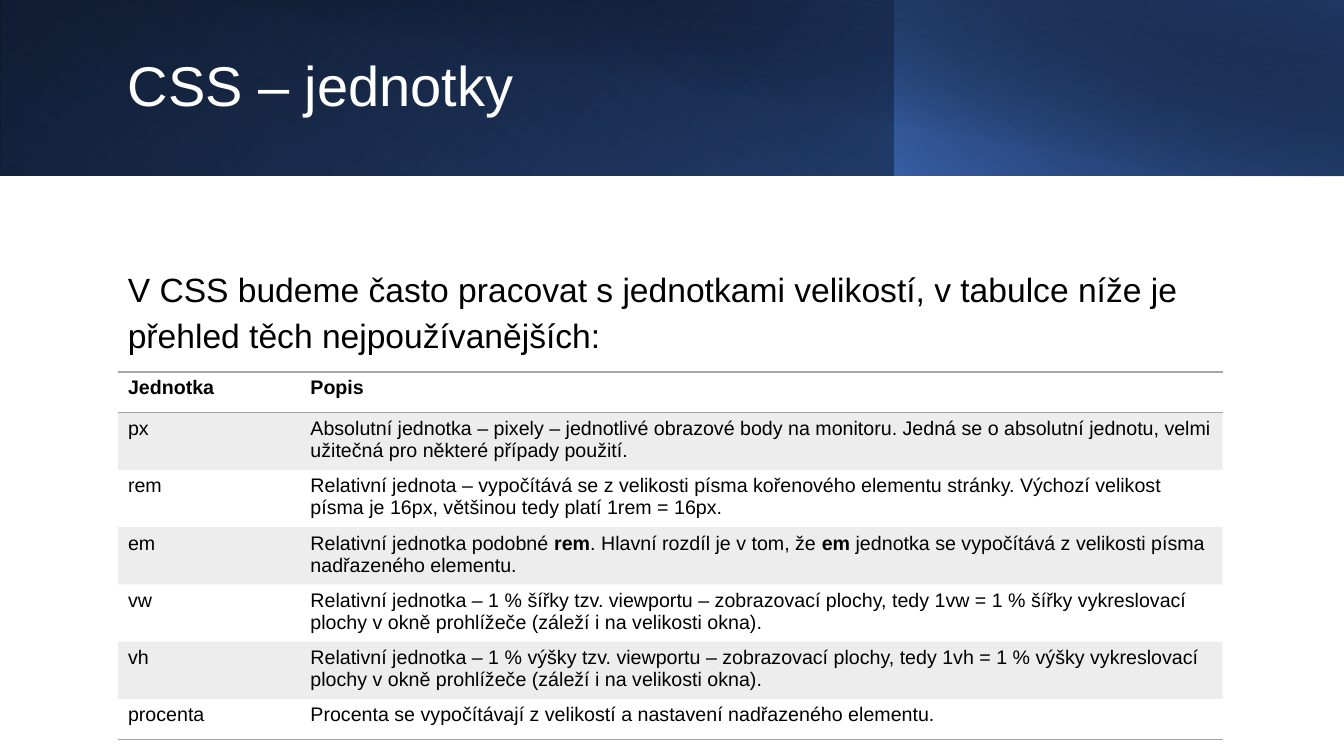
from pptx import Presentation
from pptx.enum.shapes import MSO_SHAPE
from pptx.enum.text import MSO_ANCHOR
from pptx.dml.color import RGBColor
from pptx.oxml import parse_xml
from pptx.oxml.ns import nsdecls, qn
from pptx.util import Pt

COLORS = {
    "black": "000000", "white": "FFFFFF", "gray": "A5A5A5",
    "blue": "4472C4", "deep": "2F5496", "navy": "1F3864",
}
FONT = "Arial"
TITLE = "CSS – jednotky"
INTRO = ("V CSS budeme často pracovat s jednotkami velikostí, "
         "v tabulce níže je přehled těch nejpoužívanějších:")
UNITS = [
    ("Jednotka", ["Popis"]),
    ("px", ["Absolutní jednotka – pixely – jednotlivé obrazové body na monitoru. "
            "Jedná se o absolutní jednotu, velmi užitečná pro některé případy použití."]),
    ("rem", ["Relativní jednota – vypočítává se z velikosti písma kořenového elementu stránky. "
             "Výchozí velikost písma je 16px, většinou tedy platí 1rem = 16px."]),
    ("em", ["Relativní jednotka podobné ", "rem", ". Hlavní rozdíl je v tom, že ", "em",
            " jednotka se vypočítává z velikosti písma nadřazeného elementu."]),
    ("vw", ["Relativní jednotka – 1 % šířky tzv. viewportu – zobrazovací plochy, tedy 1vw = 1 % "
            "šířky vykreslovací plochy v okně prohlížeče (záleží i na velikosti okna)."]),
    ("vh", ["Relativní jednotka – 1 % výšky tzv. viewportu – zobrazovací plochy, tedy 1vh = 1 % "
            "výšky vykreslovací plochy v okně prohlížeče (záleží i na velikosti okna)."]),
    ("procenta", ["Procenta se vypočítávají z velikostí a nastavení nadřazeného elementu."]),
]
BANNER = [
    ((0, 960, 125.28), 0, True, 140, [(0, "black", 100), (100, "deep", 100)]),
    ((0, 639.36, 125.28), 180, True, 230,
     [(0, "blue", 0), (20, "blue", 0), (100, "navy", 54)]),
    ((638.64, 321.36, 125.28), 0, True, 220, [(0, "blue", 65), (100, "black", 29)]),
    ((36, 924, 126), 0, False, 280,
     [(0, "black", 0), (50, "black", 0), (99, "navy", 51), (100, "navy", 51)]),
]
LEFT, WIDTH = 84.24, 789.12
TABLE_TOP, ROW_HEIGHT = 265.68, 29.2
COLUMN_WIDTHS = (130.32, 658.8)
NO_GRID_STYLE = "{2D5ABB26-0587-4C30-8999-92F81FD0307C}"


def color_xml(name, alpha):
    return f'<a:srgbClr val="{COLORS[name]}"><a:alpha val="{alpha * 1000}"/></a:srgbClr>'


def set_font(para, size, color, bold=False):
    para.font.name = FONT
    para.font.size = Pt(size)
    para.font.bold = bold
    para.font.color.rgb = RGBColor.from_string(COLORS[color])


def add_panel(page, place, rotation, flipped, angle, stops):
    left, width, height = place
    panel = page.shapes.add_shape(MSO_SHAPE.RECTANGLE, Pt(left), 0, Pt(width), Pt(height))
    panel.shadow.inherit = False
    panel.line.fill.background()
    panel.rotation = rotation
    properties = panel.element.spPr
    if flipped:
        properties.find(qn("a:xfrm")).set("flipH", "1")
    stop_xml = "".join(f'<a:gs pos="{position * 1000}">{color_xml(name, alpha)}</a:gs>'
                       for position, name, alpha in stops)
    gradient = parse_xml(
        f'<a:gradFill {nsdecls("a")} rotWithShape="1"><a:gsLst>{stop_xml}</a:gsLst>'
        f'<a:lin ang="{angle * 60000}" scaled="0"/></a:gradFill>')
    properties.find(qn("a:prstGeom")).addnext(gradient)


def add_text(page, text, top, width, height, size, color, spacing):
    box = page.shapes.add_textbox(Pt(LEFT), Pt(top), Pt(width), Pt(height))
    frame = box.text_frame
    frame.word_wrap = True
    frame.vertical_anchor = MSO_ANCHOR.MIDDLE
    para = frame.paragraphs[0]
    para.text = text
    para.line_spacing = spacing
    set_font(para, size, color)


def style_cell(cell, edges, shaded):
    properties = cell._tc.get_or_add_tcPr()
    for edge in edges:
        properties.append(parse_xml(
            f'<a:{edge} {nsdecls("a")} w="12700"><a:solidFill>{color_xml("gray", 100)}'
            f'</a:solidFill></a:{edge}>'))
    if shaded:
        properties.append(parse_xml(
            f'<a:solidFill {nsdecls("a")}>{color_xml("gray", 20)}</a:solidFill>'))
    else:
        cell.fill.background()


def add_units_table(page):
    frame = page.shapes.add_table(len(UNITS), len(COLUMN_WIDTHS), Pt(LEFT), Pt(TABLE_TOP),
                                  Pt(WIDTH), Pt(ROW_HEIGHT * len(UNITS)))
    table = frame.table
    table.horz_banding = False
    table._tbl.tblPr.find(qn("a:tableStyleId")).text = NO_GRID_STYLE
    for column, width in zip(table.columns, COLUMN_WIDTHS):
        column.width = Pt(width)
    edges_by_row = {0: ("lnT", "lnB"), len(UNITS) - 1: ("lnB",)}
    for row, (unit, description) in enumerate(UNITS):
        table.rows[row].height = Pt(ROW_HEIGHT)
        for column, parts in enumerate(([unit], description)):
            cell = table.cell(row, column)
            style_cell(cell, edges_by_row.get(row, ()), row % 2 == 1)
            para = cell.text_frame.paragraphs[0]
            set_font(para, 14, "black", row == 0)
            for index, part in enumerate(parts):
                span = para.add_run()
                span.text = part
                if index % 2:
                    span.font.bold = True


def main():
    deck = Presentation()
    deck.slide_width, deck.slide_height = Pt(960), Pt(540)
    page = deck.slides.add_slide(deck.slide_layouts[6])
    for panel in BANNER:
        add_panel(page, *panel)
    add_text(page, TITLE, 22.32, 554.4, 81.36, 40, "white", 0.9)
    add_text(page, INTRO, 182.16, WIDTH, 77.04, 24, "black", 1.15)
    add_units_table(page)
    deck.save("out.pptx")


if __name__ == "__main__":
    main()
